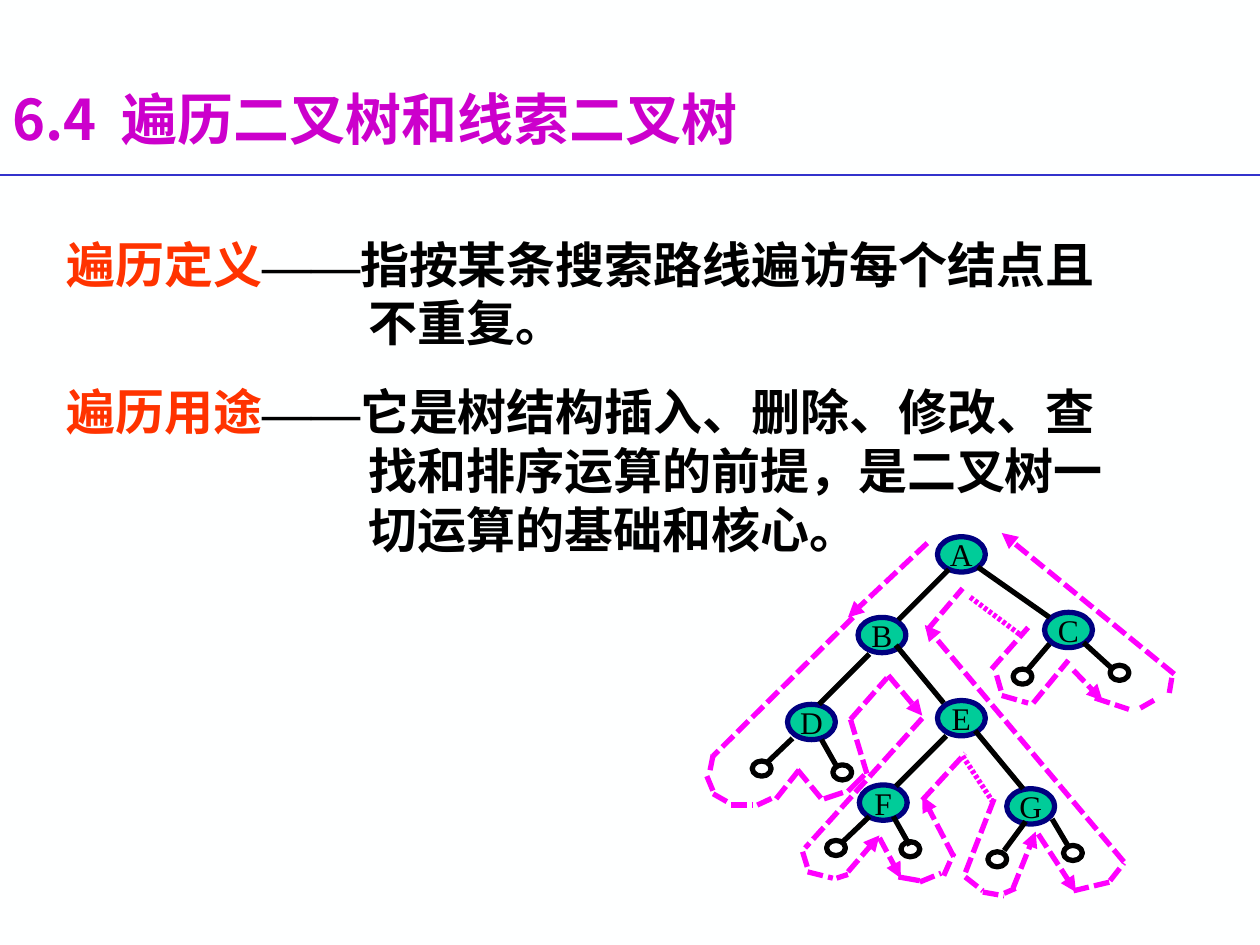
from lxml.etree import SubElement
from pptx import Presentation
from pptx.dml.color import RGBColor
from pptx.enum.dml import MSO_LINE_DASH_STYLE as Dash
from pptx.enum.shapes import MSO_CONNECTOR as Connector, MSO_SHAPE as Shape
from pptx.enum.text import MSO_ANCHOR as Anchor, PP_ALIGN as Align
from pptx.oxml.ns import qn
from pptx.util import Inches, Pt

HAN, LATIN = "Noto Sans CJK SC", "Times New Roman"
BLACK, MAGENTA, ORANGE = "000000", "FF00FF", "FF3300"


def color(value):
    return RGBColor.from_string(value)


class Deck:
    COLUMNS, ROWS = 100, 75

    def __init__(self):
        self.presentation = Presentation()
        self.presentation.slide_width = Inches(10)
        self.presentation.slide_height = Inches(7.5)
        self.slide = self.presentation.slides.add_slide(self.presentation.slide_layouts[6])
        background = self.slide.background.fill
        background.solid()
        background.fore_color.rgb = color("FEFFFF")

    def x(self, columns):
        return round(self.presentation.slide_width * columns / self.COLUMNS)

    def y(self, rows):
        return round(self.presentation.slide_height * rows / self.ROWS)

    def box(self, left, top, width, height):
        return self.x(left), self.y(top), self.x(width), self.y(height)

    def run(self, paragraph, text, size, font, ink, bold=False, spacing=0):
        run = paragraph.add_run()
        run.text = text
        run.font.size = Pt(size)
        run.font.bold = bold
        run.font.color.rgb = color(ink)
        run.font.name = font
        properties = run.font._element
        SubElement(properties, qn("a:ea")).set("typeface", font)
        if spacing:
            properties.set("spc", str(spacing * 100))

    def text(self, left, top, width, height, anchor=Anchor.TOP):
        frame = self.slide.shapes.add_textbox(*self.box(left, top, width, height)).text_frame
        frame.word_wrap = True
        frame.vertical_anchor = anchor
        return frame

    def entry(self, paragraph, term, meaning, space_before):
        properties = paragraph._p.get_or_add_pPr()
        properties.set("marL", str(Inches(2.4)))
        properties.set("indent", str(-Inches(2.4)))
        paragraph.line_spacing = Pt(33.5)
        paragraph.space_before = Pt(space_before)
        for words, font, ink in ((term, HAN, ORANGE), ("——", LATIN, BLACK), (meaning, HAN, BLACK)):
            self.run(paragraph, words, 28, font, ink, bold=True)

    def ellipse(self, left, top, width, height, border):
        oval = self.slide.shapes.add_shape(Shape.OVAL, *self.box(left, top, width, height))
        oval.shadow.inherit = False
        oval.fill.background()
        oval.line.color.rgb = color(border)
        oval.line.width = Pt(3)
        return oval

    def node(self, label, left, top):
        oval = self.ellipse(left, top, 3.8, 2.8, "000080")
        oval.fill.solid()
        oval.fill.fore_color.rgb = color("00CC99")
        frame = oval.text_frame
        frame.word_wrap = False
        frame.vertical_anchor = Anchor.MIDDLE
        frame.paragraphs[0].alignment = Align.CENTER
        self.run(frame.paragraphs[0], label, 18, LATIN, BLACK)

    def leaf(self, left, top):
        self.ellipse(left, top, 1.5, 1.2, BLACK)

    def line(self, x1, y1, x2, y2, ink, width=3, dotted=False, arrow=False, dense=False):
        connector = self.slide.shapes.add_connector(
            Connector.STRAIGHT, self.x(x1), self.y(y1), self.x(x2), self.y(y2))
        connector.line.color.rgb = color(ink)
        connector.line.width = Pt(width)
        stroke = connector.line._get_or_add_ln()
        if dotted:
            connector.line.dash_style = Dash.SQUARE_DOT
        if dense:
            dash = SubElement(SubElement(stroke, qn("a:custDash")), qn("a:ds"))
            dash.set("d", "70000")
            dash.set("sp", "40000")
        if arrow:
            SubElement(stroke, qn("a:tailEnd")).set("type", "triangle")
        SubElement(connector._element.spPr, qn("a:effectLst"))

    def save(self):
        self.presentation.save("out.pptx")


NODES = {
    "A": (74.4, 42.6), "F": (68.2, 62.3), "E": (74.4, 55.6), "D": (62.5, 55.9),
    "C": (82.9, 48.6), "B": (68.1, 49), "G": (79.9, 62.6),
}
LEAVES = [
    (59.7, 60.4), (66.1, 60.7), (65.6, 66.7), (71.5, 66.8),
    (78.4, 67.6), (84.4, 67.1), (88.1, 52.8), (80.4, 53.1),
]
BRANCHES = [
    (75.3, 45.2, 71.3, 49.2), (69, 51.9, 65, 55.9), (75.1, 58.4, 71.1, 62.4),
    (83.3, 51.1, 81.6, 53.1), (77.6, 45, 83.3, 49), (71.1, 51.2, 74.9, 55.8),
    (77.4, 58, 81.2, 62.6), (62.9, 58.6, 60.8, 60.6), (65.2, 58.7, 66.5, 61),
    (69, 64.8, 66.9, 66.8), (81.4, 65.2, 79.7, 67.5), (70.9, 64.8, 72.2, 67.1),
    (83.5, 65, 84.8, 67.2), (86, 51, 88.2, 53),
]
SOLID_ROUTE = [
    (66.4, 69.7, 67.3, 69.4), (71.3, 69.6, 73, 69.9), (79.7, 70.9, 80.6, 70.5),
    (65.4, 63.4, 66.9, 62.9), (67.3, 62.8, 68.6, 61.5),
]
DENSE_ROUTE = [(76.4, 60, 78.9, 63.8), (77, 47.4, 81, 50.4)]
DOTTED_ROUTE = [
    (56.1, 61.6, 56.6, 62.8), (58, 63.9, 59.7, 63.9), (92.8, 55, 93, 53.8),
    (67.7, 49, 56.6, 60), (56.6, 59.9, 56.3, 61.4), (56.6, 63, 58, 63.8),
    (60.1, 63.9, 61.6, 63.2), (61.6, 63.4, 63.5, 61), (63.3, 61.1, 65.2, 63.4),
    (67.5, 57.1, 68.8, 61.4), (67.5, 57.1, 70.4, 53.8), (73.2, 57, 63.9, 67.3),
    (63.7, 67.6, 64.1, 68.9), (64.1, 69.2, 66.1, 69.7), (73, 70, 74.7, 69.3),
    (74.9, 69.5, 75.7, 67.7), (73.2, 63.5, 76.6, 59.8), (78.9, 63.4, 76.6, 69.3),
    (76.6, 69.6, 78, 70.7), (78, 70.8, 79.7, 71.1), (85.2, 70.7, 88.1, 70),
    (88.1, 69.9, 89.2, 68.5), (82, 55.8, 84.8, 52.4), (86.9, 55.4, 89.6, 56.3),
    (90.5, 56.2, 91.9, 55.4), (73.6, 50, 76.4, 46.7), (78.7, 53.1, 81.6, 49.8),
    (79.1, 53.6, 79.5, 55), (79.5, 55.2, 81.6, 55.8),
]
ARROW_ROUTE = [
    (73.6, 43.1, 67.3, 49), (70.5, 53.6, 73.2, 56.8), (67.3, 69.2, 69.8, 66.3),
    (69.8, 66.5, 71.5, 69.7), (75.7, 68, 73.2, 63.2), (80.4, 70.5, 82.2, 66),
    (82.4, 66.2, 85.4, 70.8), (89.2, 68.4, 73.4, 49.6), (85.2, 53.2, 87.5, 55.6),
    (93.2, 53.5, 79.5, 42.3),
]
ENTRIES = [
    ("遍历定义", "指按某条搜索路线遍访每个结点且不重复。"),
    ("遍历用途", "它是树结构插入、删除、修改、查找和排序运算的前提，是二叉树一切运算的基础和核心。"),
]


def main():
    deck = Deck()
    heading = deck.text(0, 5.6, 76, 7.5, Anchor.MIDDLE).paragraphs[0]
    for words, spacing in (("6.4", 0), (" ", 7), ("遍历二叉树和线索二叉树", 0)):
        deck.run(heading, words, 32, HAN, "CC00CC", bold=True, spacing=spacing)
    deck.line(0, 13.9, 100, 13.9, "3333CC", width=1)

    definitions = deck.text(4.3, 18.1, 86.7, 26.8)
    for index, (term, meaning) in enumerate(ENTRIES):
        paragraph = definitions.add_paragraph() if index else definitions.paragraphs[0]
        deck.entry(paragraph, term, meaning, 17.5 if index else 0)

    for label, corner in NODES.items():
        deck.node(label, *corner)
    for branch in BRANCHES:
        deck.line(*branch, BLACK)
    for corner in LEAVES:
        deck.leaf(*corner)
    for step in SOLID_ROUTE:
        deck.line(*step, MAGENTA)
    for step in DENSE_ROUTE:
        deck.line(*step, MAGENTA, dense=True)
    for step in DOTTED_ROUTE:
        deck.line(*step, MAGENTA, dotted=True)
    for step in ARROW_ROUTE:
        deck.line(*step, MAGENTA, dotted=True, arrow=True)
    deck.save()


if __name__ == "__main__":
    main()
